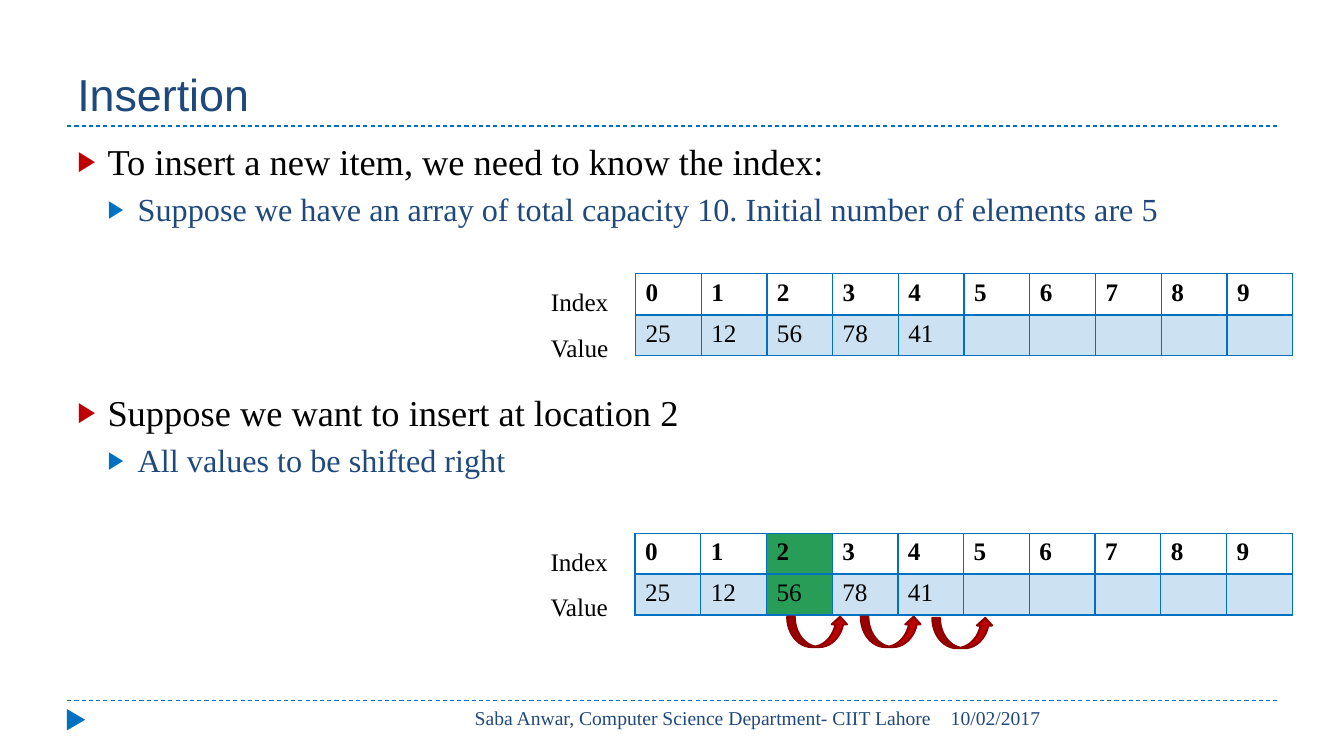
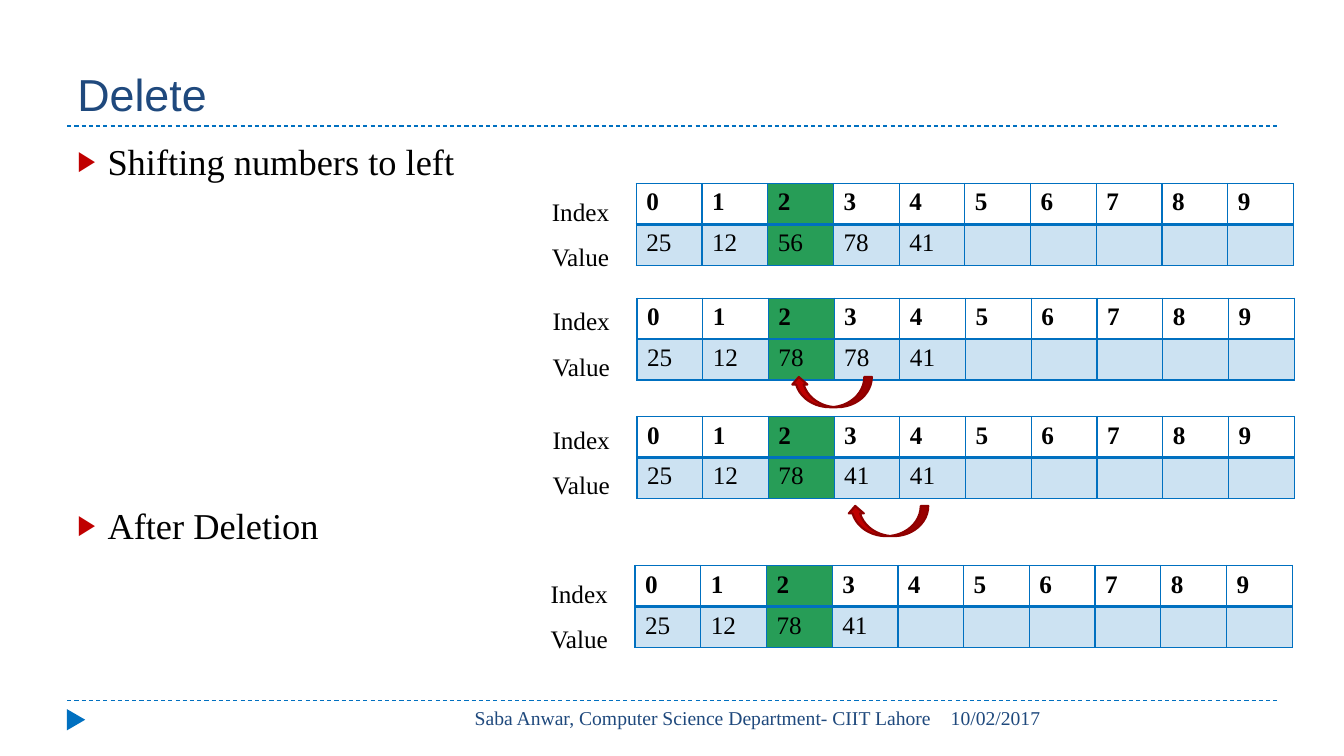
from lxml import etree
from pptx import Presentation
from pptx.dml import color
from pptx.enum import dml, shapes, text
from pptx.oxml import ns
from pptx.util import Pt

BLUE, NAVY, RED, MAROON = "0070C0", "1F497D", "C00000", "8E0000"
GREEN, PALE, BLACK = "279D57", "CCE2F2", "000000"
SERIF, SANS = "Times New Roman", "Arial"
COLUMN, ROW = 46.95, 29.25
LEVELS = [(26, BLACK, RED), (23, NAVY, BLUE)]


def rgb(value):
    return color.RGBColor.from_string(value)


def child(parent, tag, **attributes):
    return etree.SubElement(parent, ns.qn(tag), attributes)


class Deck:
    def __init__(self):
        self.deck = Presentation()
        self.deck.slide_width, self.deck.slide_height = Pt(960), Pt(540)
        self.page = None

    def add_page(self, title):
        self.page = self.deck.slides.add_slide(self.deck.slide_layouts[1])
        for y in (500.4, 90):
            self.dashed_line(48, y, 912)
        marker = self.shape(shapes.MSO_SHAPE.ISOSCELES_TRIANGLE, 46.8, 507.6, 15.1, 13, BLUE)
        marker.rotation = 90
        self.title(title)
        self.label(["10/02/2017"], 672, 500.4, 240, 28.8, 14, NAVY)
        footer = self.label(["Saba Anwar, Computer Science Department- CIIT Lahore"],
                            304.4, 500.4, 368, 28.8, 14, NAVY)
        footer.paragraphs[0].alignment = text.PP_ALIGN.RIGHT

    def style(self, paragraph, size, fill, name=SERIF, bold=False):
        font = paragraph.font
        font.name, font.size, font.bold = name, Pt(size), bold
        font.color.rgb = rgb(fill)

    def place(self, box, x, y, width, height):
        box.left, box.top, box.width, box.height = Pt(x), Pt(y), Pt(width), Pt(height)

    def title(self, words):
        box = self.page.shapes.title
        self.place(box, 48, 12.2, 864, 77.8)
        frame = box.text_frame
        frame.text = words
        frame.auto_size = text.MSO_AUTO_SIZE.NONE
        frame.vertical_anchor = text.MSO_ANCHOR.BOTTOM
        paragraph = frame.paragraphs[0]
        paragraph.alignment = text.PP_ALIGN.LEFT
        self.style(paragraph, 32, NAVY, SANS)

    def bullets(self, items):
        box = self.page.placeholders[1]
        self.place(box, 48, 95.8, 864, 388.8)
        frame = box.text_frame
        frame.text = "\n".join(words for words, level, gap in items)
        frame.auto_size = text.MSO_AUTO_SIZE.NONE
        for paragraph, (words, level, gap) in zip(frame.paragraphs, items):
            size, fill, bullet = LEVELS[level]
            paragraph.level = level
            paragraph.space_before = Pt(gap)
            properties = paragraph._p.get_or_add_pPr()
            properties.set("marL", str(Pt(21.6 * (level + 1))))
            properties.set("indent", str(-Pt(21.6)))
            child(child(properties, "a:buClr"), "a:srgbClr", val=bullet)
            child(properties, "a:buSzPct", val="76000")
            child(properties, "a:buChar", char="▶")
            self.style(paragraph, size, fill)

    def label(self, lines, x, y, width, height, size, fill, spacing=1.0):
        box = self.page.shapes.add_textbox(Pt(x), Pt(y), Pt(width), Pt(height))
        frame = box.text_frame
        frame.word_wrap = True
        frame.text = "\n".join(lines)
        for paragraph in frame.paragraphs:
            paragraph.line_spacing = spacing
            self.style(paragraph, size, fill)
        return frame

    def dashed_line(self, x, y, end):
        line = self.page.shapes.add_connector(
            shapes.MSO_CONNECTOR.STRAIGHT, Pt(x), Pt(y), Pt(end), Pt(y))
        line.line.color.rgb = rgb(BLUE)
        line.line.width = Pt(0.75)
        line.line.dash_style = dml.MSO_LINE.DASH
        child(line._element.spPr, "a:effectLst")

    def shape(self, kind, x, y, width, height, fill, outline=None):
        shape = self.page.shapes.add_shape(kind, Pt(x), Pt(y), Pt(width), Pt(height))
        shape.shadow.inherit = False
        shape.fill.solid()
        shape.fill.fore_color.rgb = rgb(fill)
        if outline:
            shape.line.color.rgb = rgb(outline)
            shape.line.width = Pt(1.5)
        else:
            shape.line.fill.background()
        return shape

    def shift_arrow(self, x, y, width, leftward=False):
        arrow = self.shape(shapes.MSO_SHAPE.CURVED_UP_ARROW, x, y, width, 21.6, RED, MAROON)
        if leftward:
            arrow._element.spPr.xfrm.set("flipH", "1")

    def cell(self, cell, words, fill, bold, widths):
        properties = cell._tc.get_or_add_tcPr()
        for side, width in zip("LRTB", widths):
            border = child(properties, f"a:ln{side}", w=str(Pt(width)))
            child(child(border, "a:solidFill"), "a:srgbClr", val=BLUE)
        if fill:
            cell.fill.solid()
            cell.fill.fore_color.rgb = rgb(fill)
        else:
            cell.fill.background()
        cell.text = words
        self.style(cell.text_frame.paragraphs[0], 18, BLACK, bold=bold)

    def array(self, x, y, values, marked=None, label_rise=5.2):
        self.label(["Index", "Value"], x - 67.4, y - label_rise, 67, 72.7, 18, BLACK, 1.5)
        table = self.page.shapes.add_table(
            2, 10, Pt(x), Pt(y), Pt(10 * COLUMN), Pt(2 * ROW)).table
        table.first_row = table.horz_banding = False
        for row in table.rows:
            row.height = Pt(ROW)
        for index, column in enumerate(table.columns):
            column.width = Pt(COLUMN)
            value = str(values[index]) if index < len(values) else ""
            accent = GREEN if index == marked else None
            self.cell(table.cell(0, index), str(index), accent, True, (1, 1, 1, 2))
            self.cell(table.cell(1, index), value, accent or PALE, False, (1, 1, 2, 1))

    def save(self):
        self.deck.save("out.pptx")


def main():
    deck = Deck()

    deck.add_page("Insertion")
    deck.bullets([
        ("To insert a new item, we need to know the index:", 0, 0),
        ("Suppose we have an array of total capacity 10. Initial number of elements are 5", 1, 5),
        ("Suppose we want to insert at location 2", 0, 115.3),
        ("All values to be shifted right", 1, 5),
    ])
    start = [25, 12, 56, 78, 41]
    deck.array(453.6, 380.9, start, marked=2)
    deck.array(453.9, 195.6, start)
    for x, y in ((562.3, 440.6), (614.9, 440.6), (666, 441.4)):
        deck.shift_arrow(x, y, 43.2)

    deck.add_page("Delete")
    deck.bullets([("Shifting numbers to left", 0, 0), ("After Deletion", 0, 228.8)])
    for x, y, values, rise in (
        (454.5, 131, start, 5.2),
        (455, 213, [25, 12, 78, 78, 41], 9),
        (455, 297.5, [25, 12, 78, 41, 41], 9),
        (453.6, 404, [25, 12, 78, 41], 5.2),
    ):
        deck.array(x, y, values, marked=2, label_rise=rise)
    for x, y in ((565.2, 269.3), (605.5, 361.4)):
        deck.shift_arrow(x, y, 57.6, leftward=True)

    deck.save()


if __name__ == "__main__":
    main()
